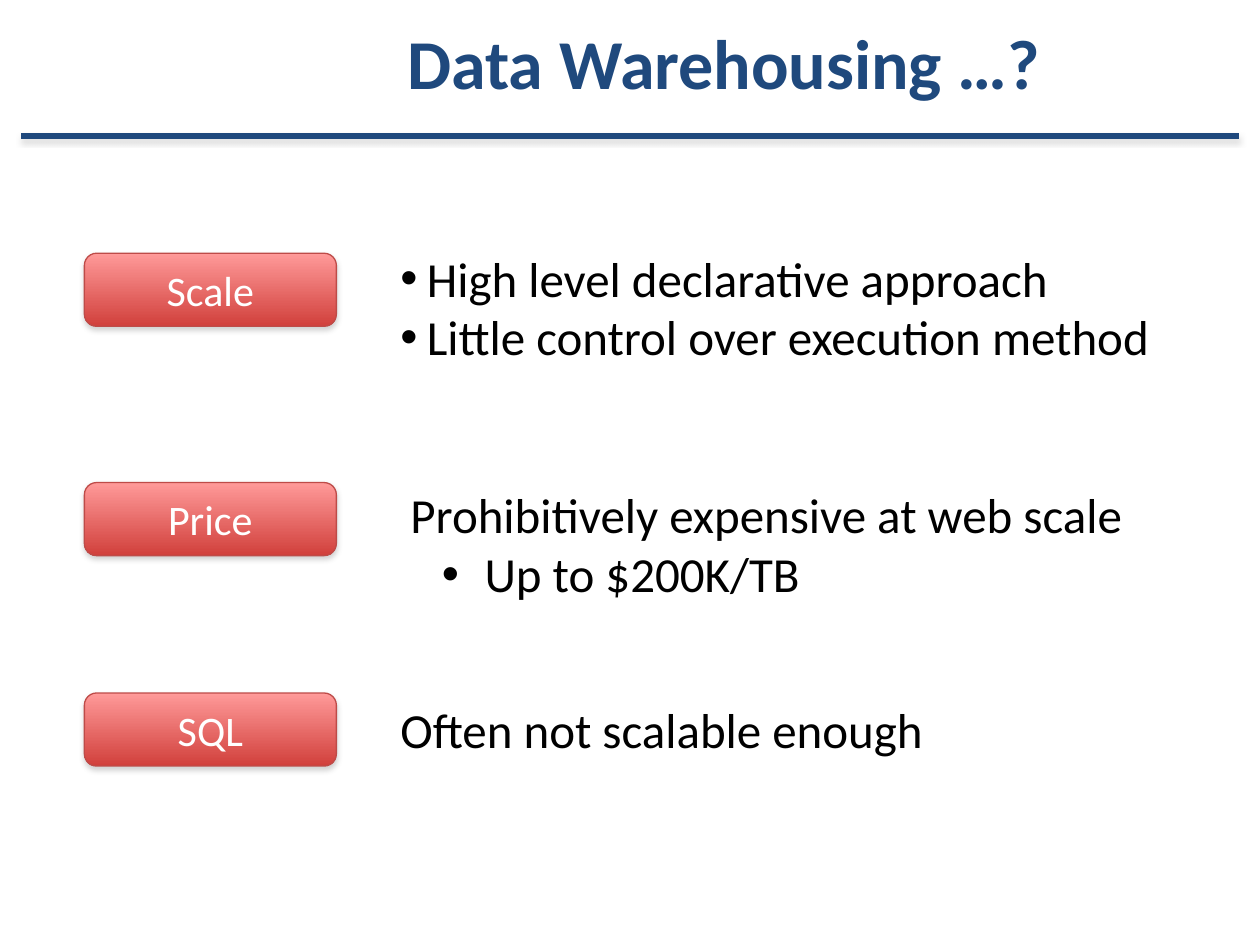
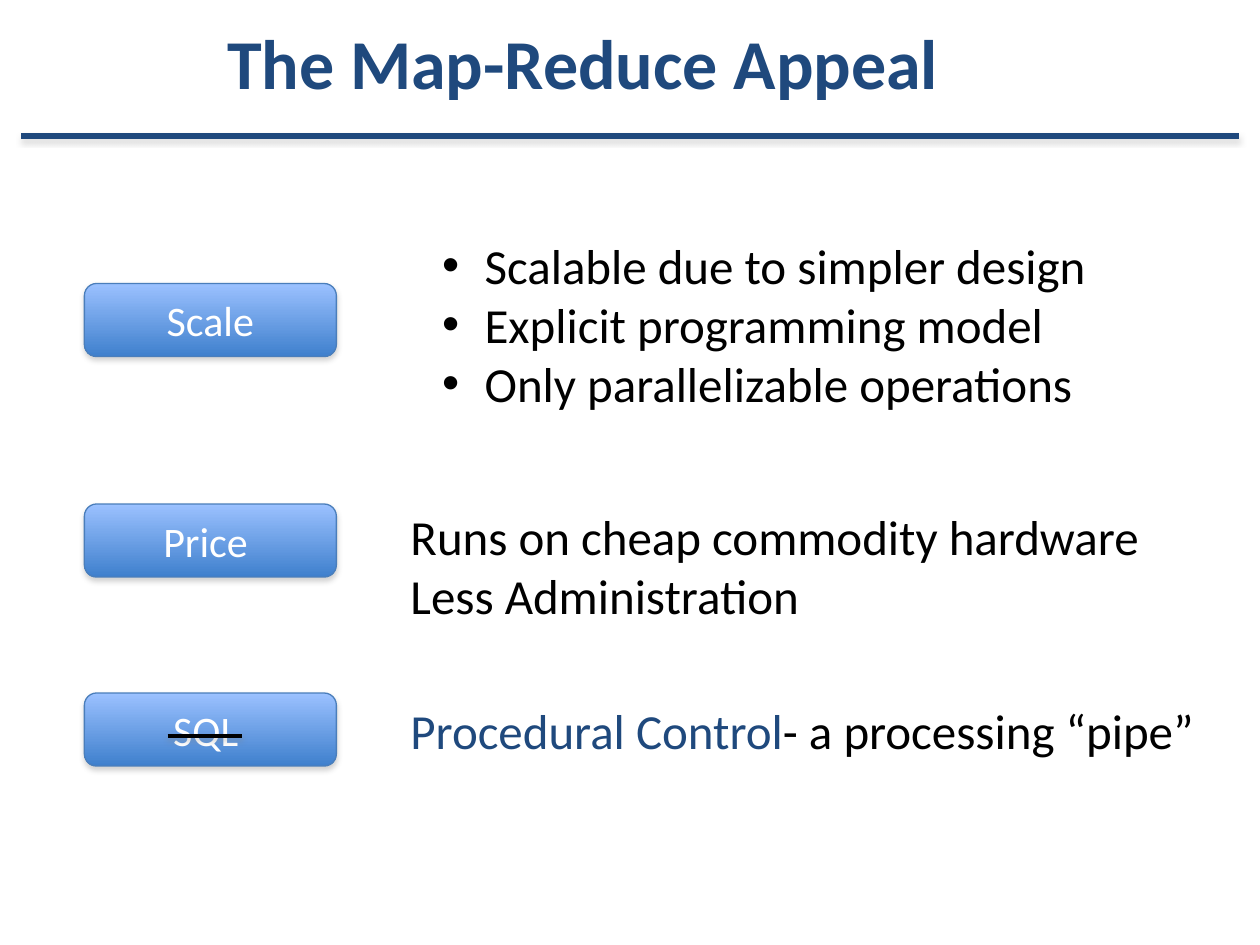
from lxml import etree
from pptx import Presentation
from pptx.dml.color import RGBColor
from pptx.enum.shapes import MSO_CONNECTOR, MSO_SHAPE
from pptx.enum.text import MSO_ANCHOR, MSO_AUTO_SIZE, PP_ALIGN
from pptx.oxml.ns import qn
from pptx.util import Inches, Pt

COLORS = {
    "navy": "1F497D", "black": "000000", "white": "FFFFFF", "shadow": "808080",
    "red_top": "FF9A99", "red_bottom": "D1403C", "red_line": "BE4B48",
    "blue_top": "9BC1FF", "blue_bottom": "3F80CD", "blue_line": "4A7EBB",
}
FONT = "Calibri"
LABEL_LEFT, LABEL_WIDTH, LABEL_HEIGHT = 0.67, 2, 0.58
# Bullet kinds: left margin and hanging distance in inches
BULLETS = {"outer": (0.21, 0.21), "inner": (0.5, 0.25)}


def color(name):
    return RGBColor.from_string(COLORS[name])


class Deck:
    """Holds the shared style and the current slide."""

    def __init__(self):
        self.presentation = Presentation()
        self.presentation.slide_width = Inches(10)
        self.presentation.slide_height = Inches(7.5)
        self.slide = None

    def new_slide(self):
        self.slide = self.presentation.slides.add_slide(
            self.presentation.slide_layouts[6])
        self.line(9.83, 0.17, 1.08, "navy", 3)

    def add_run(self, paragraph, text, size, color_name, bold=False):
        run = paragraph.add_run()
        run.text = text
        run.font.name = FONT
        run.font.size = Pt(size)
        run.font.bold = bold
        run.font.color.rgb = color(color_name)

    def add_shadow(self, shape, alpha=35):
        properties = shape._element.spPr
        effects = properties.find(qn("a:effectLst"))
        if effects is None:
            effects = etree.SubElement(properties, qn("a:effectLst"))
        outer = etree.SubElement(
            effects, qn("a:outerShdw"), blurRad=str(Pt(3.1)),
            dist=str(Pt(1.8)), dir="5400000", rotWithShape="0")
        tone = etree.SubElement(outer, qn("a:srgbClr"), val=COLORS["shadow"])
        etree.SubElement(tone, qn("a:alpha"), val=str(alpha * 1000))

    def line(self, start, end, top, color_name, width, alpha=35):
        connector = self.slide.shapes.add_connector(
            MSO_CONNECTOR.STRAIGHT, Inches(start), Inches(top),
            Inches(end), Inches(top))
        connector.line.color.rgb = color(color_name)
        connector.line.width = Pt(width)
        self.add_shadow(connector, alpha)

    def title(self, text, align):
        box = self.slide.shapes.add_textbox(
            Inches(1.58), Inches(0.05), Inches(8.33), Inches(0.87))
        box.text_frame.word_wrap = True
        box.text_frame.vertical_anchor = MSO_ANCHOR.MIDDLE
        paragraph = box.text_frame.paragraphs[0]
        paragraph.alignment = align
        self.add_run(paragraph, text, 40, "navy", bold=True)
        return box

    def label(self, text, top, hue):
        shape = self.slide.shapes.add_shape(
            MSO_SHAPE.ROUNDED_RECTANGLE, Inches(LABEL_LEFT), Inches(top),
            Inches(LABEL_WIDTH), Inches(LABEL_HEIGHT))
        shape.shadow.inherit = False
        shape.fill.gradient()
        shape.fill.gradient_angle = 270
        for stop, end, position in zip(shape.fill.gradient_stops,
                                       ("top", "bottom"), (0, 1)):
            stop.color.rgb = color(f"{hue}_{end}")
            stop.position = position
        shape.line.color.rgb = color(f"{hue}_line")
        shape.line.width = Pt(0.75)
        self.add_shadow(shape)
        shape.text_frame.vertical_anchor = MSO_ANCHOR.MIDDLE
        paragraph = shape.text_frame.paragraphs[0]
        paragraph.alignment = PP_ALIGN.CENTER
        self.add_run(paragraph, text, 24, "white")

    def body(self, left, top, width, height, paragraphs):
        """Each paragraph is (bullet kind or None, (text, color), ...)."""
        box = self.slide.shapes.add_textbox(
            Inches(left), Inches(top), Inches(width), Inches(height))
        frame = box.text_frame
        frame.word_wrap = True
        frame.auto_size = MSO_AUTO_SIZE.SHAPE_TO_FIT_TEXT
        for index, (bullet, *runs) in enumerate(paragraphs):
            paragraph = frame.add_paragraph() if index else frame.paragraphs[0]
            if bullet:
                self.add_bullet(paragraph, bullet)
            for text, color_name in runs:
                self.add_run(paragraph, text, 28, color_name)

    def add_bullet(self, paragraph, kind):
        margin, hanging = BULLETS[kind]
        if kind == "inner":
            paragraph.level = 1
        properties = paragraph._p.get_or_add_pPr()
        properties.set("marL", str(Inches(margin)))
        properties.set("indent", str(-Inches(hanging)))
        etree.SubElement(properties, qn("a:buFont"), typeface="Arial")
        etree.SubElement(properties, qn("a:buChar"), char="•")


def warehousing_slide(deck):
    deck.new_slide()
    title = deck.title("Data Warehousing …?", PP_ALIGN.CENTER)
    title.fill.solid()
    title.fill.fore_color.rgb = color("white")
    title.line.color.rgb = color("white")
    title.line.width = Pt(0.75)

    # Labels
    for text, top in (("Scale", 2.01), ("Price", 3.83), ("SQL", 5.5)):
        deck.label(text, top, "red")

    # Drawbacks
    deck.body(3.08, 1.92, 6.67, 1.97, [
        ("outer", ("High level declarative approach", "black")),
        ("outer", ("Little control over execution method", "black"))])
    deck.body(3.16, 3.8, 6.17, 1.03, [
        (None, ("Prohibitively expensive at web scale", "black")),
        ("inner", (" Up to $200K/TB", "black"))])
    deck.body(3.08, 5.5, 4.59, 0.57, [
        (None, ("Often not scalable enough", "black"))])


def map_reduce_slide(deck):
    deck.new_slide()
    deck.title(" The Map-Reduce Appeal", PP_ALIGN.LEFT)

    # Labels, the last one struck out
    for text, top in (("Scale", 2.25), ("Price ", 4), ("SQL ", 5.5)):
        deck.label(text, top, "blue")
    deck.line(1.33, 1.92, 5.84, "black", 2, alpha=38)

    # Advantages
    deck.body(3.16, 1.82, 5.92, 1.97, [
        ("inner", (text, "black")) for text in (
            " Scalable due to simpler design",
            " Explicit programming model",
            " Only parallelizable operations")])
    deck.body(3.16, 3.97, 6.17, 1.03, [
        (None, ("Runs on cheap commodity hardware", "black")),
        (None, ("Less Administration", "black"))])
    deck.body(3.16, 5.51, 6.84, 0.57, [
        (None, ("Procedural Control", "navy"),
         ("- a processing “pipe”", "black"))])


def main():
    deck = Deck()
    warehousing_slide(deck)
    map_reduce_slide(deck)
    deck.presentation.save("out.pptx")


if __name__ == "__main__":
    main()
